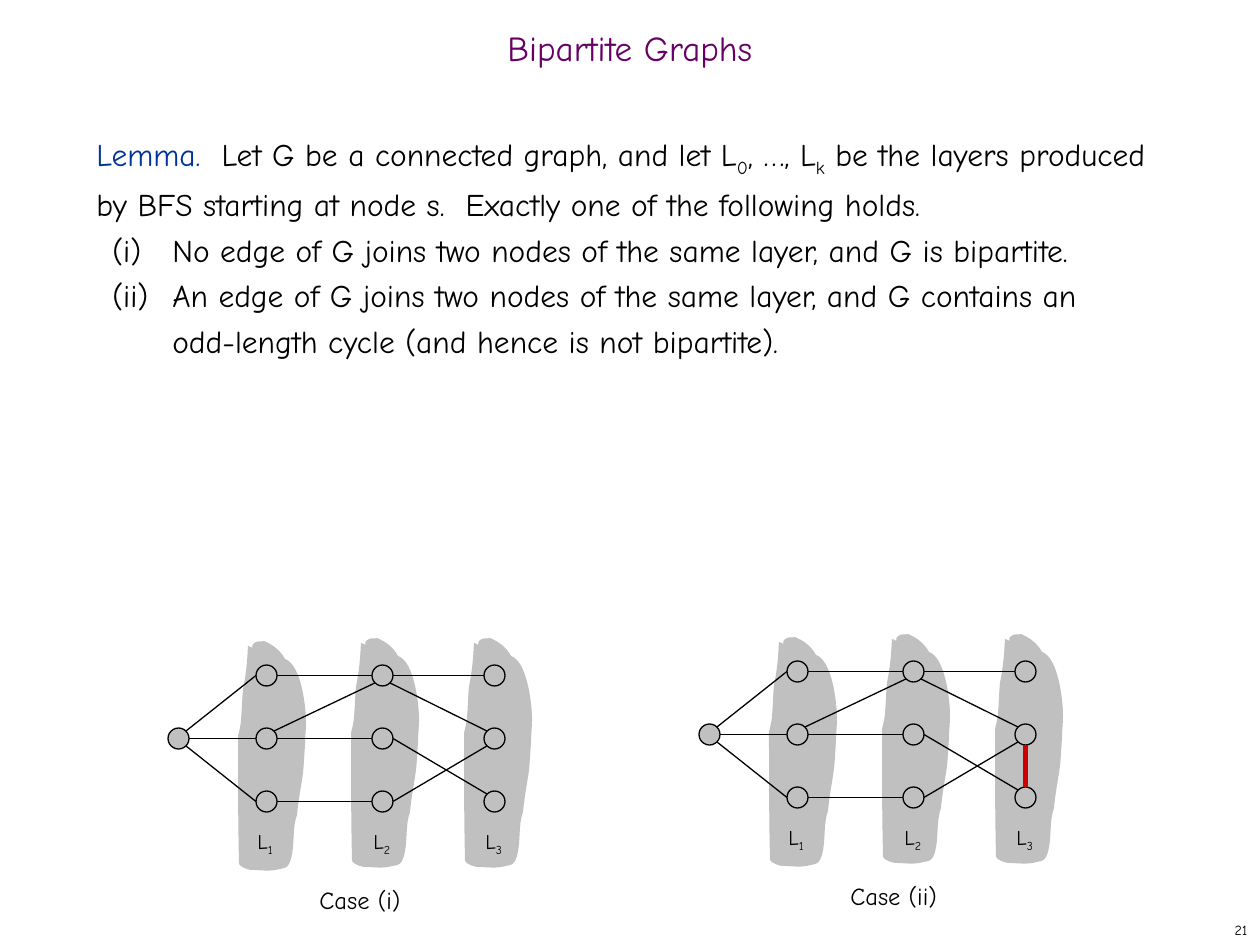
import math

from lxml import etree
from pptx import Presentation
from pptx import util as u
from pptx.dml.color import RGBColor
from pptx.enum import shapes, text
from pptx.oxml import ns

SCALE = 914400 / 126
FONT = "Comic Neue"
COLORS = {"black": "000000", "title": "660066", "lemma": "003399",
          "grey": "C0C0C0", "odd": "CC0000"}

NODE = 21
LAYER_X = [0, 88, 204, 316]
ROW_Y = [27, 90, 153]
BANDS = [(70, 3), (183, 0), (296, 0)]
BAND_START = (10, 5)
BAND_CURVES = [
    (9, 24, 8, 33, 5, 49), (4, 59, 4, 69, 3, 79), (3, 84, 0, 95, 0, 95),
    (0, 137, 0, 180, 1, 222), (1, 227, 13, 229, 13, 229),
    (23, 229, 32, 231, 42, 228), (48, 227, 50, 227, 53, 218),
    (57, 203, 54, 188, 59, 174), (60, 163, 62, 151, 64, 139),
    (66, 127, 66, 116, 67, 105), (67, 97, 68, 89, 68, 81),
    (68, 69, 64, 24, 47, 18), (42, 9, 35, 4, 26, 0),
    (24, 1, 20, 0, 18, 1), (9, 6, 20, 9, 10, 5),
]
ANGLES = {"right": 0, "lower right": 45, "bottom": 90, "lower left": 135,
          "left": 180, "upper left": 225, "top": 270, "upper right": 315}
EDGES = [
    ((0, 1), "upper right", (1, 0), "left"),
    ((0, 1), "right", (1, 1), "left"),
    ((0, 1), "lower right", (1, 2), "left"),
    ((1, 0), "right", (2, 0), "left"),
    ((1, 1), "upper right", (2, 0), "lower left"),
    ((1, 1), "right", (2, 1), "left"),
    ((1, 2), "right", (2, 2), "left"),
    ((2, 0), "right", (3, 0), "left"),
    ((2, 0), "lower right", (3, 1), "upper left"),
    ((2, 1), "right", (3, 2), "upper left"),
    ((2, 2), "right", (3, 1), "lower left"),
]
SAME_LAYER_EDGE = ((3, 2), "top", (3, 1), "bottom")


def px(length):
    """Turn pixels into EMU."""
    return u.Emu(round(length * SCALE))


def rgb(name):
    """Look up a named colour."""
    return RGBColor.from_string(COLORS[name])


def add_text(slide, box, paragraphs, size, color="black", align="LEFT",
             anchor="TOP", spacing=None, wrap=True, hanging=None):
    """Write paragraphs of (text, format) runs in a box."""
    frame = slide.shapes.add_textbox(*map(px, box)).text_frame
    frame.word_wrap = wrap
    if not wrap:
        frame.auto_size = text.MSO_AUTO_SIZE.SHAPE_TO_FIT_TEXT
    frame.vertical_anchor = text.MSO_ANCHOR[anchor]
    for index, runs in enumerate(paragraphs):
        para = frame.paragraphs[0] if index == 0 else frame.add_paragraph()
        para.alignment = text.PP_ALIGN[align]
        if spacing:
            para.line_spacing = spacing
        if hanging and index:
            left, outdent = hanging
            props = para._p.get_or_add_pPr()
            props.set("marL", str(px(left)))
            props.set("indent", str(-px(outdent)))
        for words, style in runs:
            if words == "\n":
                para.add_line_break()
                continue
            run = para.add_run()
            run.text = words
            run.font.name = FONT
            run.font.size = u.Pt(size)
            run.font.color.rgb = rgb(style.get("color", color))
            if style.get("sub"):
                run._r.get_or_add_rPr().set("baseline", "-25000")


def add_band(slide, left, top):
    """Draw the curved grey band behind one layer."""
    builder = slide.shapes.build_freeform(px(left + BAND_START[0]),
                                          px(top + BAND_START[1]))
    builder.add_line_segments([(px(left + curve[4]), px(top + curve[5]))
                               for curve in BAND_CURVES], close=True)
    band = builder.convert_to_shape()
    segments = list(band._element.iter(ns.qn("a:lnTo")))
    for segment, curve in zip(segments, BAND_CURVES):
        bezier = etree.Element(ns.qn("a:cubicBezTo"))
        for x, y in zip(curve[::2], curve[1::2]):
            etree.SubElement(bezier, ns.qn("a:pt"), x=str(px(x)), y=str(px(y)))
        segment.getparent().replace(segment, bezier)
    band.shadow.inherit = False
    band.fill.solid()
    band.fill.fore_color.rgb = rgb("grey")
    band.line.fill.background()


def add_node(slide, left, top):
    """Draw one graph node."""
    node = slide.shapes.add_shape(shapes.MSO_SHAPE.OVAL,
                                  *map(px, (left, top, NODE, NODE)))
    node.shadow.inherit = False
    node.fill.solid()
    node.fill.fore_color.rgb = rgb("grey")
    node.line.color.rgb = rgb("black")
    node.line.width = u.Pt(0.75)


def rim(left, top, node, side):
    """Find the point on a node's rim at the given side."""
    layer, row = node
    angle = math.radians(ANGLES[side])
    return (px(left + LAYER_X[layer] + NODE / 2 * (1 + math.cos(angle))),
            px(top + ROW_Y[row] + NODE / 2 * (1 + math.sin(angle))))


def add_edge(slide, left, top, edge, color="black", width=0.75):
    """Join two nodes of a graph with a line."""
    tail, tail_side, head, head_side = edge
    line = slide.shapes.add_connector(shapes.MSO_CONNECTOR.STRAIGHT,
                                      *rim(left, top, tail, tail_side),
                                      *rim(left, top, head, head_side))
    line.line.color.rgb = rgb(color)
    line.line.width = u.Pt(width)
    etree.SubElement(line._element.spPr, ns.qn("a:effectLst"))


def add_graph(slide, left, top, caption, caption_width, odd_cycle=False):
    """Draw a layered graph with its labels and caption."""
    for x, y in BANDS:
        add_band(slide, left + x, top + y)
    for layer, x in enumerate(LAYER_X):
        for y in ROW_Y if layer else ROW_Y[1:2]:
            add_node(slide, left + x, top + y)
    for edge in EDGES:
        add_edge(slide, left, top, edge)
    for layer, x in enumerate(LAYER_X[1:], 1):
        add_text(slide, (left + x - 11, top + 184, 42, 42),
                 [[("L", {}), (str(layer), {"sub": True})]], 12, wrap=False)
    add_text(slide, (left + 139, top + 241, caption_width, 42),
             [[(caption, {})]], 14, wrap=False)
    if odd_cycle:
        add_edge(slide, left, top, SAME_LAYER_EDGE, "odd", 3)


def add_lemma(slide, box):
    """Write the lemma and its two cases."""
    sub = {"sub": True}
    add_text(slide, box, [
        [("Lemma.  ", {"color": "lemma"}),
         ("Let G be a connected graph, and let L", {}), ("0", sub),
         (", …, L", {}), ("k", sub),
         (" be the layers produced by BFS starting at node s.  "
          "Exactly one of the following holds.", {})],
        [("(i)\tNo edge of G joins two nodes of the same layer, "
          "and G is bipartite.", {})],
        [("(ii)\tAn edge of G joins two nodes of the same layer, "
          "and G contains an", {}), ("\n", {}),
         ("odd-length cycle (and hence is not bipartite).", {})],
    ], 18, spacing=u.Pt(26), hanging=(76, 60))


def main():
    """Build and save the slide."""
    deck = Presentation()
    deck.slide_width, deck.slide_height = px(1260), px(945)
    slide = deck.slides.add_slide(deck.slide_layouts[6])
    add_text(slide, (0, 21, 1260, 63), [[("Bipartite Graphs", {})]], 20,
             color="title", align="CENTER", anchor="MIDDLE", spacing=0.7)
    add_lemma(slide, (84, 126, 1081, 746))
    add_graph(slide, 168, 638, "Case (i)", 107)
    add_graph(slide, 699, 634, "Case (ii)", 112, odd_cycle=True)
    add_text(slide, (998, 914, 262, 31), [[("21", {})]], 8, align="RIGHT",
             anchor="MIDDLE")
    deck.save("out.pptx")


if __name__ == "__main__":
    main()
